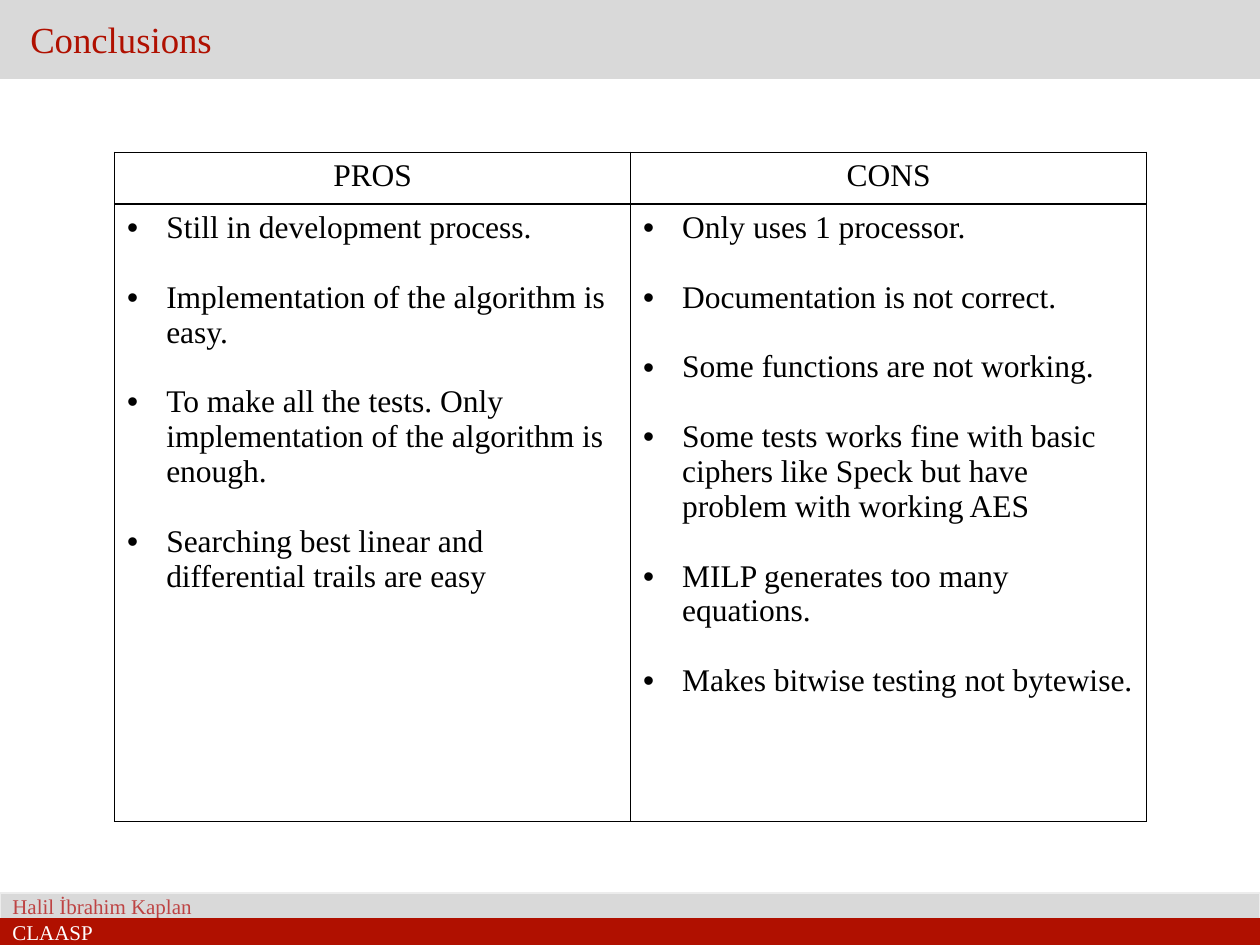
from lxml import etree
from pptx import Presentation
from pptx.dml.color import RGBColor
from pptx.enum.shapes import MSO_SHAPE
from pptx.enum.text import MSO_ANCHOR, MSO_AUTO_SIZE, PP_ALIGN
from pptx.oxml.ns import qn
from pptx.util import Inches, Pt

RECT = MSO_SHAPE.RECTANGLE
MIDDLE = MSO_ANCHOR.MIDDLE
FIXED = MSO_AUTO_SIZE.NONE
LEFT, CENTER = PP_ALIGN.LEFT, PP_ALIGN.CENTER

RED = RGBColor(0xB0, 0x10, 0x00)
ROSE = RGBColor(0xBE, 0x43, 0x43)
GRAY = RGBColor(0xD9, 0xD9, 0xD9)
PALE = RGBColor(0xEC, 0xEC, 0xEC)
WHITE = RGBColor(0xFF, 0xFF, 0xFF)
BLACK = RGBColor(0, 0, 0)

PROS = [
    "Still in development process.",
    "Implementation of the algorithm is easy.",
    "To make all the tests. Only implementation of the algorithm is enough.",
    "Searching best linear and differential trails are easy",
]
CONS = [
    "Only uses 1 processor.",
    "Documentation is not correct.",
    "Some functions are not working.",
    "Some tests works fine with basic ciphers like Speck but have problem with working AES",
    "MILP generates too many equations.",
    "Makes bitwise testing not bytewise.",
]


class Deck:
    font = "Times New Roman"
    size = 18
    indent = Inches(0.31)
    gap = Pt(19.9)

    def __init__(self, slide):
        self.slide = slide

    def style(self, para, size, color, align=LEFT):
        para.alignment = align
        for run in para.runs:
            run.font.name = self.font
            run.font.size = Pt(size)
            run.font.color.rgb = color

    def paint(self, shape, text, size, color, fill, edge, inset=0.1):
        shape.fill.solid()
        shape.fill.fore_color.rgb = fill
        shape.line.color.rgb = edge
        shape.line.width = Pt(1)
        frame = shape.text_frame
        frame.text = text
        frame.word_wrap = True
        frame.auto_size = FIXED
        frame.vertical_anchor = MIDDLE
        frame.margin_left = Inches(inset)
        self.style(frame.paragraphs[0], size, color)

    def title(self, text, height):
        shape = self.slide.shapes.title
        shape.left = shape.top = 0
        shape.width, shape.height = Inches(10), Inches(height)
        self.paint(shape, text, 21, RED, GRAY, GRAY, 0.24)

    def bar(self, top, height, text, color, fill, edge):
        shape = self.slide.shapes.add_shape(
            RECT, 0, Inches(top), Inches(10), Inches(height))
        shape.shadow.inherit = False
        self.paint(shape, text, 12, color, fill, edge)

    def border(self, cell):
        props = cell._tc.get_or_add_tcPr()
        for spot, side in enumerate(("lnL", "lnR", "lnT", "lnB")):
            line = etree.Element(qn("a:" + side), w=str(Pt(1)))
            fill = etree.SubElement(line, qn("a:solidFill"))
            etree.SubElement(fill, qn("a:srgbClr"), val=str(BLACK))
            props.insert(spot, line)

    def bullet(self, para):
        props = para._p.get_or_add_pPr()
        props.set("marL", str(self.indent))
        props.set("indent", str(-self.indent))
        etree.SubElement(props, qn("a:buFont"), typeface="Arial")
        etree.SubElement(props, qn("a:buChar"), char="•")

    def points(self, cell, items):
        frame = cell.text_frame
        for num, item in enumerate(items):
            para = frame.add_paragraph() if num else frame.paragraphs[0]
            para.text = item
            self.style(para, self.size, BLACK)
            if num:
                para.space_before = self.gap
            self.bullet(para)

    def table(self, left, top, width, rows, lists):
        table = self.slide.shapes.add_table(
            2, len(lists), Inches(left), Inches(top),
            Inches(width), Inches(sum(rows))).table
        table.first_row = table.horz_banding = False
        for row, height in zip(table.rows, rows):
            row.height = Inches(height)
        for col, (head, items) in enumerate(lists.items()):
            cell = table.cell(0, col)
            cell.text_frame.text = head
            self.style(cell.text_frame.paragraphs[0], self.size, BLACK, CENTER)
            self.points(table.cell(1, col), items)
        for cell in table.iter_cells():
            cell.fill.background()
            self.border(cell)


def main():
    prs = Presentation()
    prs.slide_width, prs.slide_height = Inches(10), Inches(7.5)
    deck = Deck(prs.slides.add_slide(prs.slide_layouts[5]))

    # Header
    deck.title("Conclusions", 0.62)

    # Footer
    deck.bar(7.09, 0.2, "Halil İbrahim Kaplan", ROSE, GRAY, PALE)
    deck.bar(7.29, 0.21, "CLAASP", WHITE, RED, RED)

    # Comparison
    deck.table(0.91, 1.21, 8.19, (0.41, 4.9), {"PROS": PROS, "CONS": CONS})

    prs.save("out.pptx")


if __name__ == "__main__":
    main()
